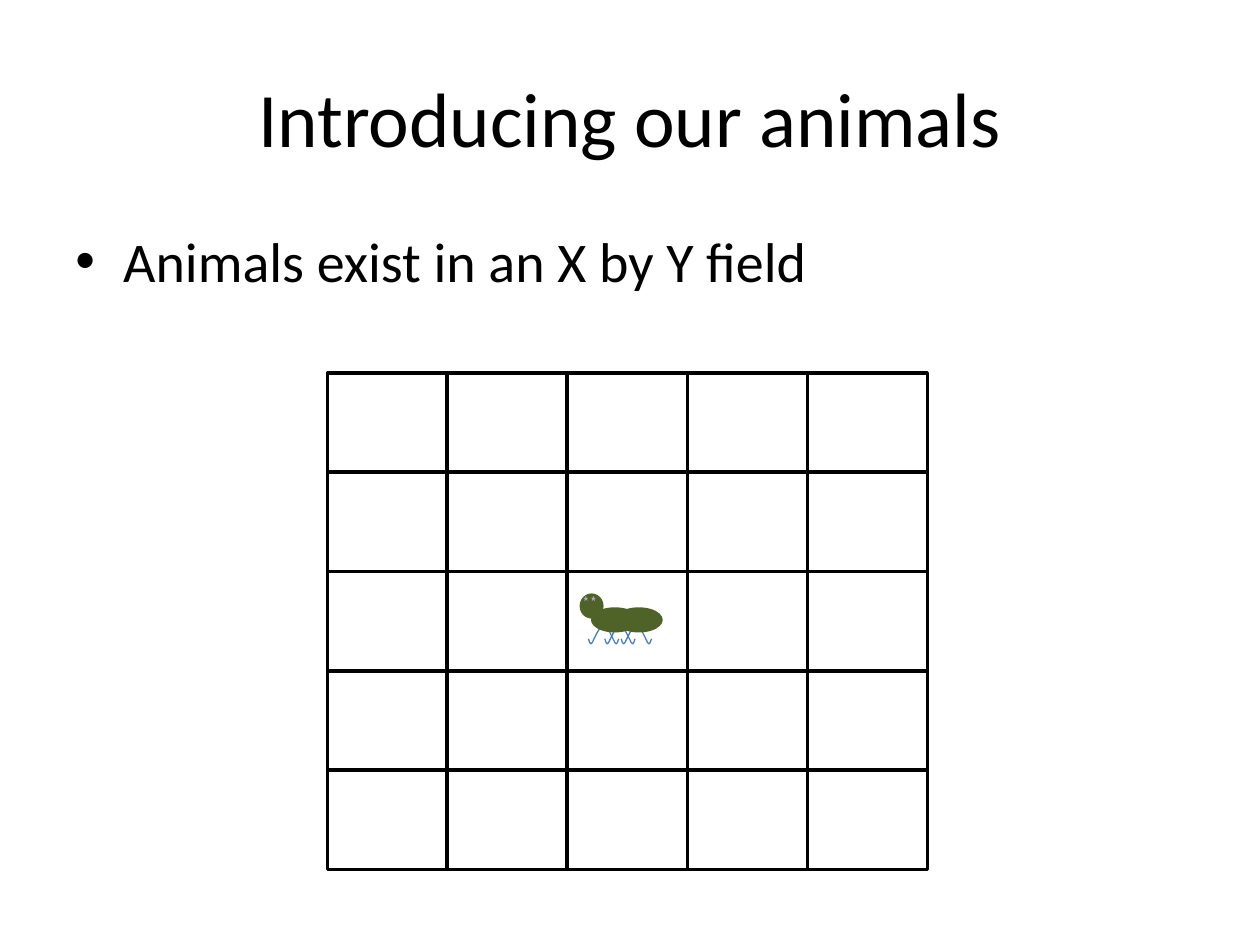
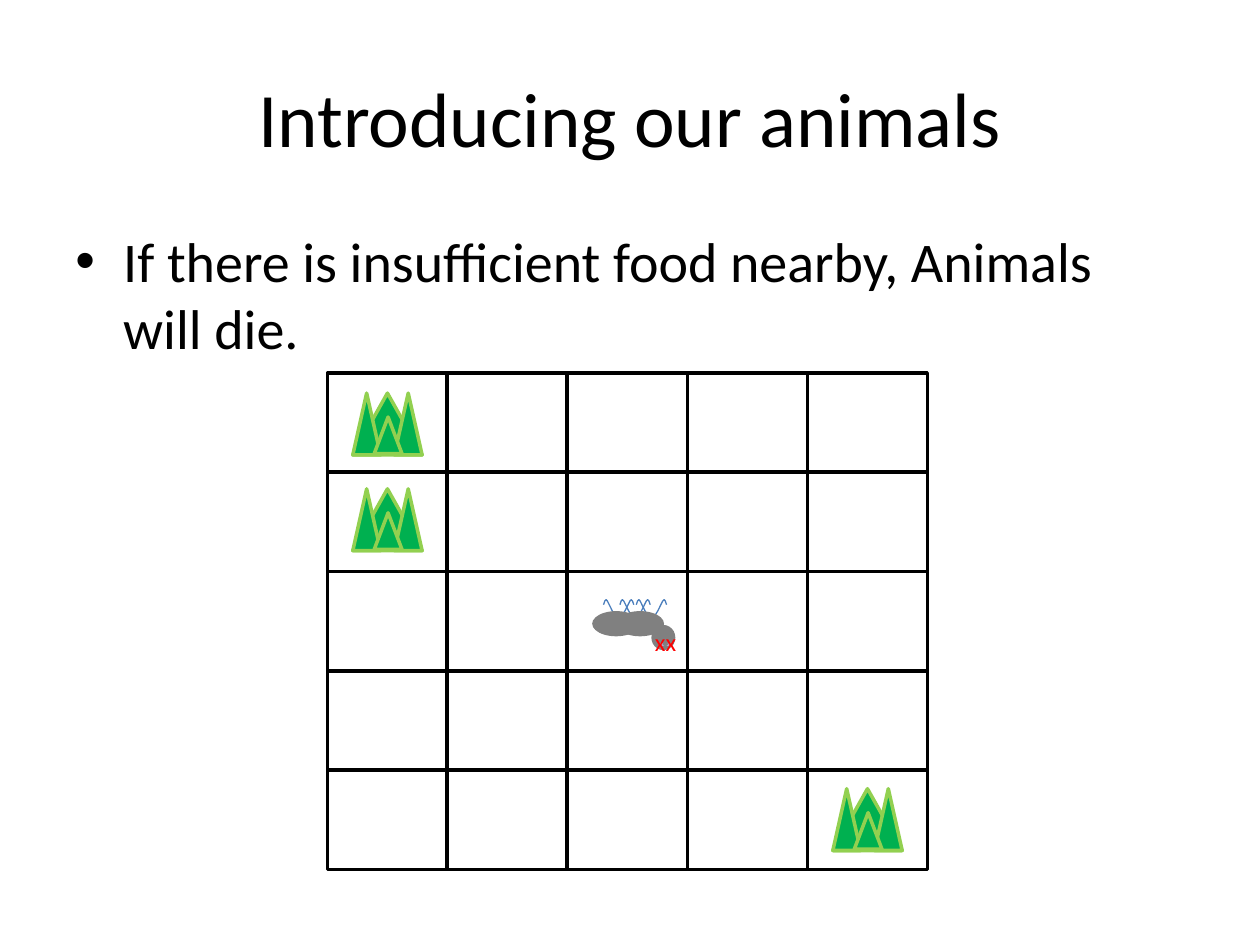
from lxml import etree
from pptx import Presentation
from pptx.dml.color import RGBColor
from pptx.enum.shapes import MSO_SHAPE
from pptx.enum.text import MSO_ANCHOR, PP_ALIGN
from pptx.oxml.ns import qn
from pptx.util import Inches, Pt

RECTANGLE, OVAL = MSO_SHAPE.RECTANGLE, MSO_SHAPE.OVAL
STAR, TRIANGLE = MSO_SHAPE.STAR_5_POINT, MSO_SHAPE.ISOSCELES_TRIANGLE
CENTER, MIDDLE = PP_ALIGN.CENTER, MSO_ANCHOR.MIDDLE

BLACK = RGBColor(0x00, 0x00, 0x00)
RED = RGBColor(0xFF, 0x00, 0x00)
LIVE_GREEN = RGBColor(0x4F, 0x62, 0x28)
DEAD_GRAY = RGBColor(0x80, 0x80, 0x80)
EYE_PURPLE = RGBColor(0xB3, 0xA2, 0xC7)
LEG_BLUE = RGBColor(0x4B, 0x7E, 0xBC)
LEAF_GREEN = RGBColor(0x00, 0xB0, 0x50)
LEAF_EDGE = RGBColor(0x92, 0xD0, 0x50)
FONT = "Calibri"

# Field: five by five cells
FIELD_LEFT, FIELD_TOP = 2.6, 2.96
CELL_WIDTH, CELL_HEIGHT = 0.95, 0.79
COLUMN_STEP, ROW_STEP = 3.81 / 4, 3.15 / 4
CELLS_PER_SIDE = 5

# Animal: (left, top, width, height), then hips and the curve of one leg
HEAD = (4.6, 4.71, 0.19, 0.2)
BODY_PARTS = [(4.69, 4.82, 0.38, 0.2), (4.88, 4.82, 0.38, 0.2)]
EYES = [(4.69, 4.73, 0.04, 0.04), (4.63, 4.73, 0.04, 0.04)]
HIPS_X, HIP_Y = (4.79, 4.92, 5.05), 4.94
LEG_CURVE = [(0, 0), (0.05, 0.08), (0.09, 0.16), (0.1, 0.17), (0.11, 0.16), (0.12, 0.13)]
# A dead animal is turned half round: each point (x, y) goes to (TURN_X - x, TURN_Y - y)
TURN_X, TURN_Y = 9.96, 9.87

# Plant: leaves relative to its top left corner
LEAVES = [(0, 0, 0.55, 0.49), (0.33, 0, 0.22, 0.49), (0, 0, 0.22, 0.49), (0.17, 0.19, 0.22, 0.29)]

SLIDES = [
    {"text": "Animals exist in an X by Y field", "dead": False, "plants": []},
    {"text": "If there is insufficient food nearby, Animals will die.", "dead": True,
     "plants": [(2.8, 3.12), (2.8, 3.88), (6.61, 6.26)]},
]


def set_font(paragraph, size, color):
    paragraph.font.name = FONT
    paragraph.font.size = Pt(size)
    paragraph.font.color.rgb = color


def add_preset(shapes, preset, box, fill=None, line=None):
    shape = shapes.add_shape(preset, *[Inches(length) for length in box])
    shape.shadow.inherit = False
    if fill is None:
        shape.fill.background()
    else:
        shape.fill.solid()
        shape.fill.fore_color.rgb = fill
    if line is None:
        shape.line.fill.background()
    else:
        shape.line.color.rgb = line
        shape.line.width = Pt(2)
    return shape


presentation = Presentation()
presentation.slide_width, presentation.slide_height = Inches(10), Inches(7.5)
title_only = presentation.slide_layouts[5]

for content in SLIDES:
    slide = presentation.slides.add_slide(title_only)

    title = slide.shapes.title
    title.left, title.top, title.width, title.height = Inches(0.5), Inches(0.3), Inches(9), Inches(1.25)
    title.text_frame.text = "Introducing our animals"
    title.text_frame.vertical_anchor = MIDDLE
    paragraph = title.text_frame.paragraphs[0]
    paragraph.alignment = CENTER
    set_font(paragraph, 44, BLACK)

    body = slide.shapes.add_textbox(Inches(0.5), Inches(1.75), Inches(9), Inches(4.95))
    body.text_frame.word_wrap = True
    paragraph = body.text_frame.paragraphs[0]
    paragraph.text = content["text"]
    paragraph.space_before = Pt(6.4)
    set_font(paragraph, 32, BLACK)
    properties = paragraph._p.get_or_add_pPr()
    properties.set("marL", str(Inches(0.38)))
    properties.set("indent", str(Inches(-0.38)))
    bullet_font = etree.Element(qn("a:buFont"), typeface="Arial")
    bullet = etree.Element(qn("a:buChar"), char="•")
    properties.find(qn("a:spcBef")).addnext(bullet_font)
    bullet_font.addnext(bullet)

    field = slide.shapes.add_group_shape()
    for row in range(CELLS_PER_SIDE):
        for column in range(CELLS_PER_SIDE):
            cell = (FIELD_LEFT + column * COLUMN_STEP, FIELD_TOP + row * ROW_STEP, CELL_WIDTH, CELL_HEIGHT)
            add_preset(field.shapes, RECTANGLE, cell, line=BLACK)

    dead = content["dead"]
    skin = DEAD_GRAY if dead else LIVE_GREEN
    animal = slide.shapes.add_group_shape()
    parts = [(OVAL, HEAD, skin)]
    parts += [(OVAL, box, skin) for box in BODY_PARTS]
    parts += [(STAR, box, EYE_PURPLE) for box in EYES]
    for index, (preset, box, color) in enumerate(parts):
        left, top, width, height = box
        if dead:
            box = (TURN_X - left - width, TURN_Y - top - height, width, height)
        part = add_preset(animal.shapes, preset, box, fill=color)
        part.rotation = 180 if dead else 0
        if index > 0:
            continue
        # Legs lie above the head and below the body
        for side in (-1, 1):
            for hip_x in HIPS_X:
                points = [(hip_x + side * x, HIP_Y + y) for x, y in LEG_CURVE]
                if dead:
                    points = [(TURN_X - x, TURN_Y - y) for x, y in points]
                points = [(Inches(x), Inches(y)) for x, y in points]
                builder = animal.shapes.build_freeform(*points[0])
                builder.add_line_segments(points[1:], close=False)
                leg = builder.convert_to_shape()
                leg.shadow.inherit = False
                leg.fill.background()
                leg.line.color.rgb = LEG_BLUE
                leg.line.width = Pt(0.75)

    if dead:
        dead_eyes = slide.shapes.add_textbox(Inches(5.1), Inches(4.93), Inches(0.37), Inches(0.34))
        dead_eyes.text_frame.word_wrap = False
        paragraph = dead_eyes.text_frame.paragraphs[0]
        paragraph.text = "xx"
        set_font(paragraph, 14, RED)

    for plant_left, plant_top in content["plants"]:
        plant = slide.shapes.add_group_shape()
        for left, top, width, height in LEAVES:
            leaf = (plant_left + left, plant_top + top, width, height)
            add_preset(plant.shapes, TRIANGLE, leaf, LEAF_GREEN, LEAF_EDGE)

presentation.save("out.pptx")
